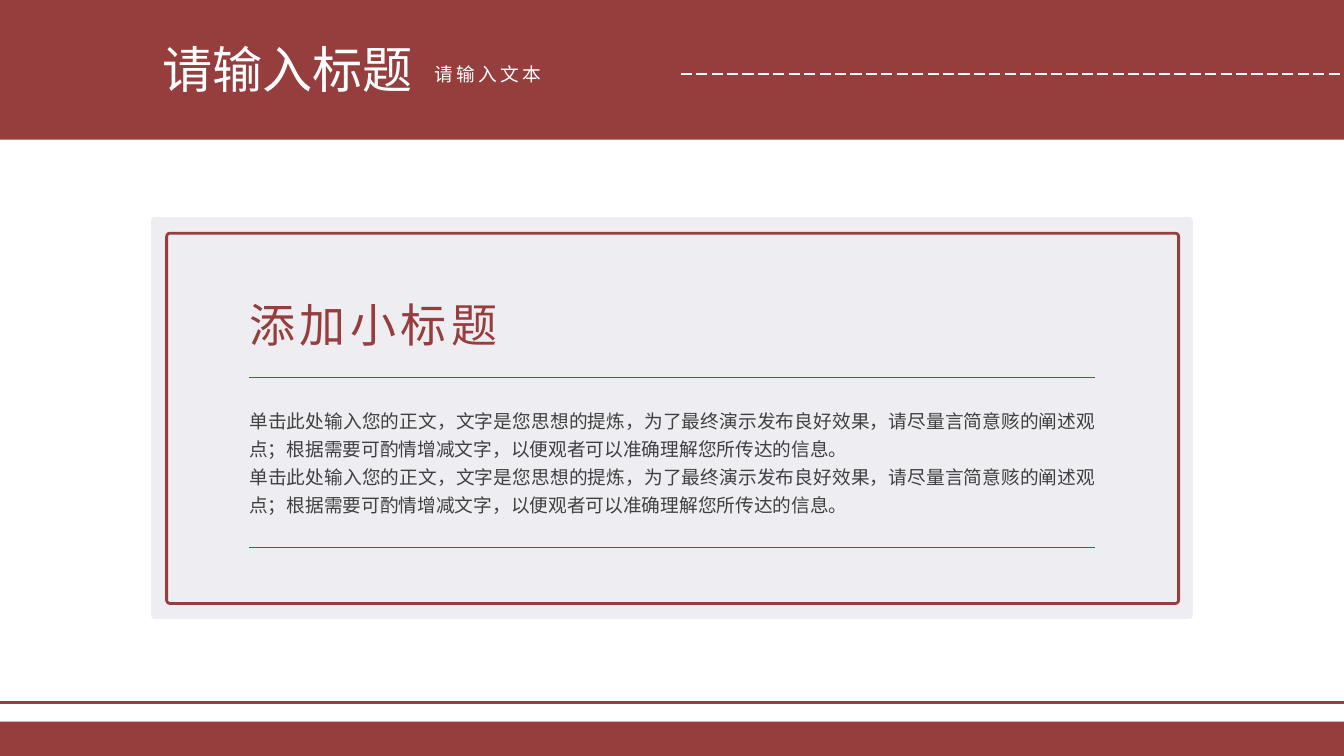
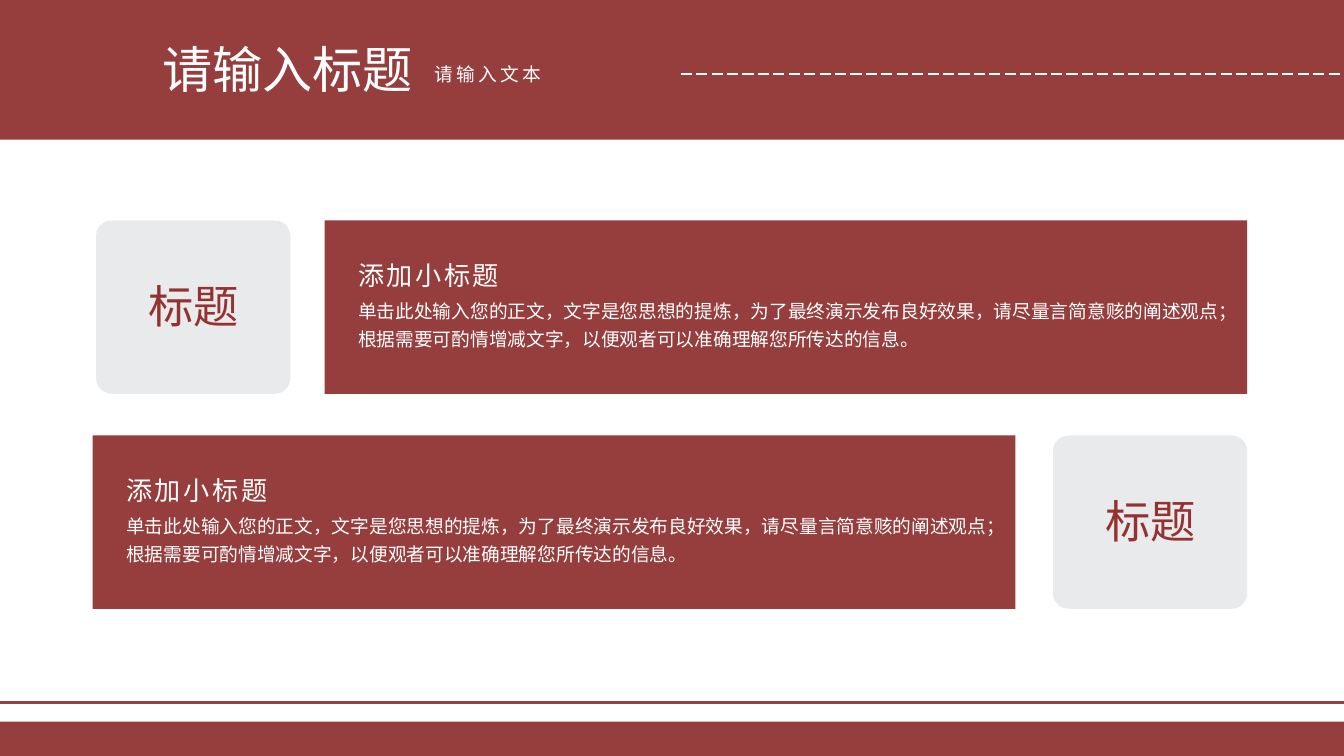
from lxml import etree
from pptx import Presentation
from pptx import util as u
from pptx.dml.color import RGBColor
from pptx.enum import dml, shapes, text
from pptx.oxml.ns import qn

COLORS = {
    "brand": "963D3D",
    "tile_text": "943232",
    "body": "404040",
    "panel": "0F1647",
    "tile": "C8CCD0",
    "white": "FFFFFF",
}
LATIN = "Calibri"
CHINESE = "Noto Sans CJK SC"
BODY = ("单击此处输入您的正文，文字是您思想的提炼，为了最终演示发布良好效果，"
        "请尽量言简意赅的阐述观点；根据需要可酌情增减文字，以便观者可以准确理解您所传达的信息。")
SUBTITLE = "添加小标题"


class Painter:
    """Holds the style and the slide being drawn."""

    def __init__(self):
        self.deck = Presentation()
        self.deck.slide_width = u.Inches(20)
        self.deck.slide_height = u.Inches(11.25)
        self.slide = None

    def color(self, name):
        return RGBColor.from_string(COLORS[name])

    def rect(self, x, y, w, h, fill=None, opacity=100, line=None, radius=0):
        kind = shapes.MSO_SHAPE.ROUNDED_RECTANGLE if radius else shapes.MSO_SHAPE.RECTANGLE
        box = self.slide.shapes.add_shape(
            kind, u.Inches(x), u.Inches(y), u.Inches(w), u.Inches(h))
        box.shadow.inherit = False
        if radius:
            box.adjustments[0] = radius / min(w, h)
        if fill:
            box.fill.solid()
            box.fill.fore_color.rgb = self.color(fill)
            if opacity < 100:
                tint = box.fill._xPr.find(".//" + qn("a:srgbClr"))
                etree.SubElement(tint, qn("a:alpha"), val=str(opacity * 1000))
        else:
            box.fill.background()
        if line:
            box.line.color.rgb = self.color(line)
            box.line.width = u.Pt(3)
        else:
            box.line.fill.background()

    def rule(self, x1, x2, y, width, color="brand", dash=None):
        rule = self.slide.shapes.add_connector(
            shapes.MSO_CONNECTOR.STRAIGHT,
            u.Inches(x1), u.Inches(y), u.Inches(x2), u.Inches(y))
        rule.line.color.rgb = self.color(color)
        rule.line.width = u.Pt(width)
        if dash:
            rule.line.dash_style = dash
        etree.SubElement(rule._element.spPr, qn("a:effectLst"))

    def text(self, x, y, w, h, words, size, leading, color="white",
             font=LATIN, tracking=0, align=text.PP_ALIGN.LEFT):
        box = self.slide.shapes.add_textbox(
            u.Inches(x), u.Inches(y), u.Inches(w), u.Inches(h))
        frame = box.text_frame
        frame.margin_left = frame.margin_right = 0
        frame.margin_top = frame.margin_bottom = 0
        frame.word_wrap = True
        frame.auto_size = text.MSO_AUTO_SIZE.SHAPE_TO_FIT_TEXT
        frame.text = words
        for para in frame.paragraphs:
            para.alignment = align
            para.line_spacing = u.Pt(leading)
            for span in para.runs:
                span.font.size = u.Pt(size)
                span.font.name = font
                span.font.color.rgb = self.color(color)
                props = span.font._element
                props.set("lang", "zh-CN")
                etree.SubElement(props, qn("a:ea"), typeface=CHINESE)
                if tracking:
                    props.set("spc", str(round(tracking * 100)))

    def page(self):
        """Starts a slide with the shared header and footer."""
        self.slide = self.deck.slides.add_slide(self.deck.slide_layouts[6])
        # Footer band and line
        self.rect(-0.14, 10.74, 20.26, 1.14, "brand")
        self.rule(-0.14, 20.26, 10.46, 3)
        # Header band, dashed line and titles
        self.rect(0, -1.12, 20.26, 3.2, "brand")
        self.rule(10.13, 20.26, 1.1, 1.5, "white", dml.MSO_LINE.LONG_DASH)
        self.text(6.47, 0.94, 3.59, 0.34, "请输入文本", 20, 24, font=CHINESE, tracking=3.5)
        self.text(2.42, 0.57, 4.05, 0.9, "请输入标题", 53.7, 64.5)

    def tile(self, x, y):
        self.rect(x, y, 2.89, 2.58, "tile", opacity=40, radius=0.23)
        self.text(x + 0.61, y + 0.72, 1.68, 0.95, "标题", 48.5, 67.8,
                  "tile_text", align=text.PP_ALIGN.CENTER)

    def panel(self, x, y):
        self.rect(x, y, 13.73, 2.58, "brand")
        self.text(x + 0.5, y + 0.5, 2.8, 0.55, SUBTITLE, 28, 39.2, tracking=2.8)
        self.text(x + 0.5, y + 1.1, 12.9, 0.84, BODY, 20, 30)


def framed_text(painter):
    painter.page()
    # Pale card with an outlined frame
    painter.rect(2.25, 3.23, 15.5, 5.98, "panel", opacity=7, radius=0.05)
    painter.rect(2.48, 3.47, 15.06, 5.51, line="brand", radius=0.05)
    # Subtitle and body between two rules
    painter.text(3.71, 4.28, 5, 0.97, SUBTITLE, 49.3, 69, "brand", tracking=4.9)
    painter.text(3.71, 6.02, 12.59, 1.68, f"{BODY}\n{BODY}", 20, 30, "body",
                 align=text.PP_ALIGN.JUSTIFY)
    for y in (5.62, 8.15):
        painter.rule(3.71, 16.3, y, 0.75)


def mirrored_rows(painter):
    painter.page()
    # Tile and panel swap sides in the second row
    for row, (tile_x, panel_x) in enumerate([(1.43, 4.83), (15.67, 1.38)]):
        y = 3.28 + row * 3.2
        painter.tile(tile_x, y)
        painter.panel(panel_x, y)


def main():
    painter = Painter()
    framed_text(painter)
    mirrored_rows(painter)
    painter.deck.save("out.pptx")


if __name__ == "__main__":
    main()
